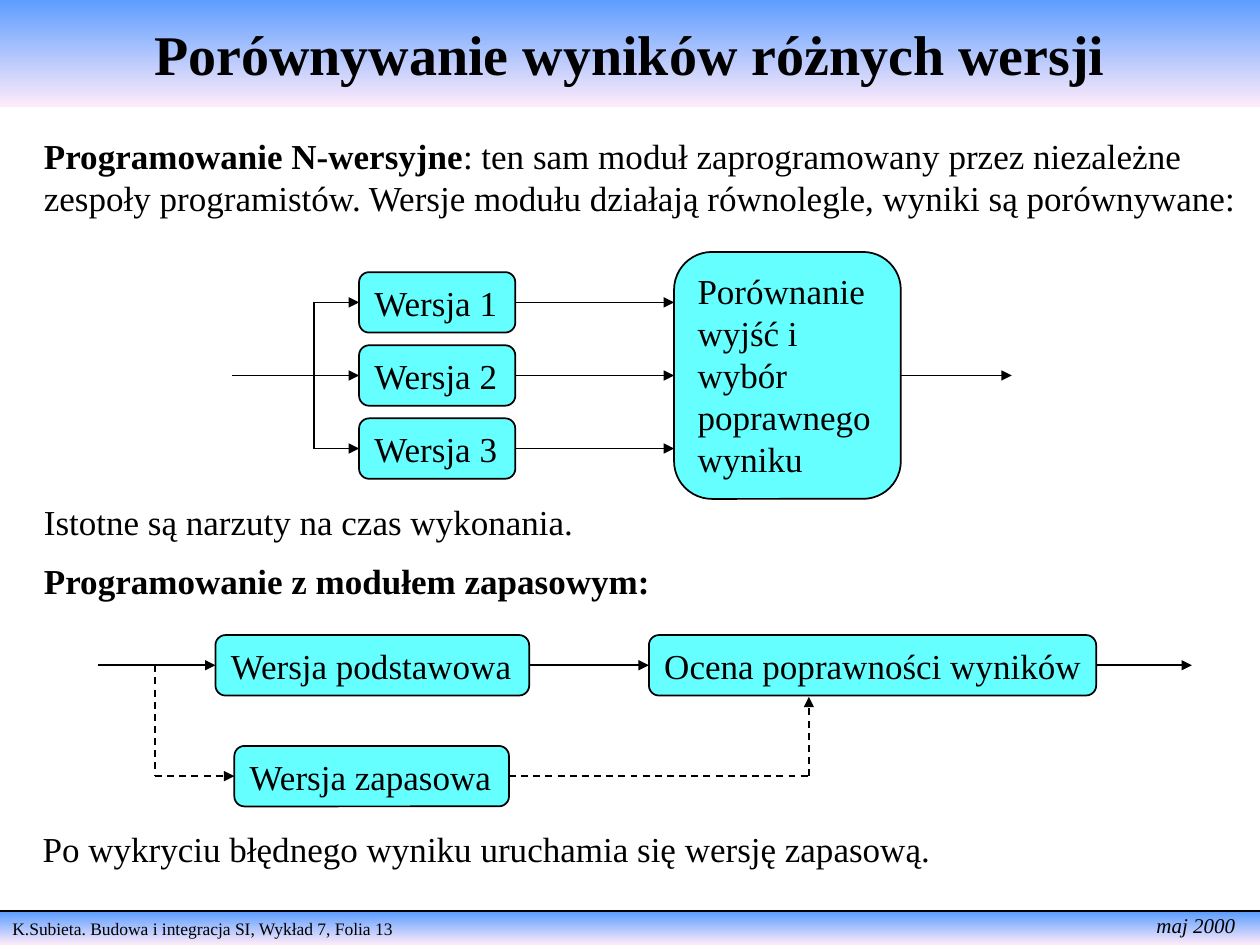
from lxml import etree
from pptx import Presentation
from pptx.dml.color import RGBColor
from pptx.enum import dml, shapes, text
from pptx.oxml.ns import qn
from pptx.util import Pt

PX = 9144  # 100 px to the inch
FONT = "Times New Roman"
HUES = {"ink": "000000", "box": "66FFFF", "top": "5E9EFF", "low": "FFEBFA"}
LEFT, UNDER, RIGHT = 1, 2, 3
ROW = 48  # height of a one-line box


def px(*vals):
    return [round(v * PX) for v in vals]


def hue(name):
    return RGBColor.from_string(HUES[name])


def write(shape, *runs, size=20, bold=False, italic=False, wrap=False,
          align=text.PP_ALIGN.LEFT, anchor=text.MSO_ANCHOR.TOP):
    """Fill a shape with one paragraph; a run is a string or (string, bold)."""
    frame = shape.text_frame
    frame.word_wrap = wrap
    frame.auto_size = text.MSO_AUTO_SIZE.NONE
    frame.vertical_anchor = anchor
    para = frame.paragraphs[0]
    para.alignment = align
    for item in runs:
        words, heavy = (item, bold) if isinstance(item, str) else item
        run = para.add_run()
        run.text = words
        font = run.font
        font.name, font.size = FONT, Pt(size)
        font.bold, font.italic = heavy, italic
        font.color.rgb = hue("ink")


def label(slide, box, *runs, **form):
    write(slide.shapes.add_textbox(*px(*box)), *runs, **form)


def shade(shape):
    """Blue to pink, from top to bottom."""
    shape.fill.gradient()
    shape.fill.gradient_angle = 270
    for stop, name in zip(shape.fill.gradient_stops, ("top", "low")):
        stop.color.rgb = hue(name)


def block(slide, box, words, **form):
    shape = slide.shapes.add_shape(
        shapes.MSO_SHAPE.ROUNDED_RECTANGLE, *px(*box))
    shape.shadow.inherit = False
    shape.fill.solid()
    shape.fill.fore_color.rgb = hue("box")
    shape.line.color.rgb = hue("ink")
    shape.line.width = Pt(1)
    write(shape, words, **form)
    return shape


def wire(slide, ends, head=True, dash=False, begin=None, end=None):
    """Line along ends (x1, y1, x2, y2); begin and end are (shape, side)."""
    line = slide.shapes.add_connector(
        shapes.MSO_CONNECTOR.STRAIGHT, *px(*ends))
    if begin:
        line.begin_connect(*begin)
    if end:
        line.end_connect(*end)
    line.line.color.rgb = hue("ink")
    line.line.width = Pt(1)
    if dash:
        line.line.dash_style = dml.MSO_LINE.DASH
    props = line._element.spPr
    if head:
        tip = etree.SubElement(props.find(qn("a:ln")), qn("a:tailEnd"))
        tip.set("type", "triangle")
    etree.SubElement(props, qn("a:effectLst"))


def header(slide, box, words):
    title = slide.shapes.title
    title.left, title.top, title.width, title.height = px(*box)
    shade(title)
    write(title, words, size=32, bold=True, wrap=True,
          align=text.PP_ALIGN.CENTER, anchor=text.MSO_ANCHOR.MIDDLE)


def footer(slide, box, note, date):
    x, y, w, h = box
    band = slide.shapes.add_shape(shapes.MSO_SHAPE.RECTANGLE, *px(*box))
    band.shadow.inherit = False
    band.line.fill.background()
    shade(band)
    write(band, note, size=10, wrap=True)
    wire(slide, (x, y - 1, x + w, y - 1), head=False)
    label(slide, (x + w - 92, y - 5, 82, 30), date, size=12, italic=True)


def voting(slide, box):
    """Parallel versions whose outputs are compared."""
    x, y, w, h = box
    mid, bus = y + h / 2, x + 65
    step, wide = 58, 124
    judge = block(slide, (x + 351, y, 180, h),
                  "Porównanie wyjść i wybór poprawnego wyniku", wrap=True)
    for i in range(3):
        row = mid + (i - 1) * step
        left = x + 101
        unit = block(slide, (left, row - ROW / 2, wide, ROW),
                     f"Wersja {i + 1}")
        inner = i == 1
        wire(slide, (x if inner else bus, row, left, row), end=(unit, LEFT))
        wire(slide, (left + wide, row, x + 351, row), begin=(unit, RIGHT),
             end=(judge, LEFT) if inner else None)
    wire(slide, (bus, mid - step, bus, mid + step), head=False)
    wire(slide, (x + 531, mid, x + w, mid), begin=(judge, RIGHT))


def backup(slide, box):
    """Main version with a spare one that steps in on failure."""
    x, y, w, h = box
    top, low = y + ROW / 2, y + h - ROW / 2
    fork, rise = x + 45, x + 564
    main = block(slide, (x + 93, y, 249, ROW), "Wersja podstawowa")
    spare = block(slide, (x + 108, y + h - ROW, 218, ROW), "Wersja zapasowa")
    check = block(slide, (x + 437, y, 355, ROW), "Ocena poprawności wyników")
    wire(slide, (x, top, x + 93, top), end=(main, LEFT))
    wire(slide, (x + 342, top, x + 437, top),
         begin=(main, RIGHT), end=(check, LEFT))
    wire(slide, (x + 792, top, x + w, top), begin=(check, RIGHT))
    wire(slide, (fork, top, fork, low), head=False, dash=True)
    wire(slide, (fork, low, x + 108, low), dash=True, end=(spare, LEFT))
    wire(slide, (x + 326, low, rise, low), head=False, dash=True,
         begin=(spare, RIGHT))
    wire(slide, (rise, low, rise, y + ROW + 1), dash=True)


def main():
    deck = Presentation()
    deck.slide_width, deck.slide_height = px(1000, 750)
    slide = deck.slides.add_slide(deck.slide_layouts[5])
    footer(slide, (0, 724, 1000, 26),
           "K.Subieta. Budowa i integracja SI, Wykład 7, Folia 13", "maj 2000")
    header(slide, (0, 0, 1000, 85), "Porównywanie wyników różnych wersji")
    label(slide, (25, 102, 968, 110), ("Programowanie N-wersyjne", True),
          ": ten sam moduł zaprogramowany przez niezależne zespoły "
          "programistów. Wersje modułu działają równolegle, wyniki są "
          "porównywane:", wrap=True)
    voting(slide, (184, 200, 619, 196))
    label(slide, (25, 392, 440, 44), "Istotne są narzuty na czas wykonania.")
    label(slide, (25, 439, 501, 44), "Programowanie z modułem zapasowym:",
          bold=True)
    backup(slide, (78, 504, 868, 136))
    label(slide, (24, 652, 725, 44),
          "Po wykryciu błędnego wyniku uruchamia się wersję zapasową.")
    deck.save("out.pptx")


if __name__ == "__main__":
    main()
